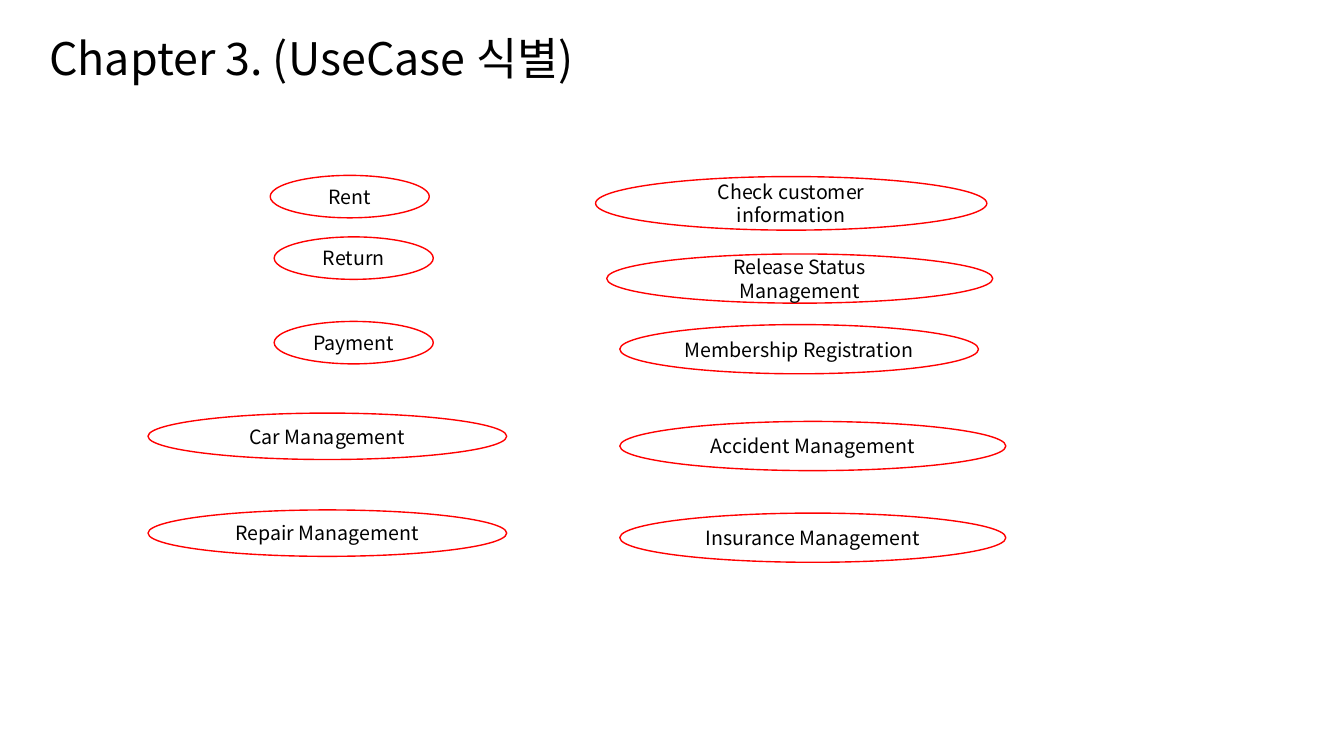
from lxml import etree
from pptx import Presentation
from pptx import util as u
from pptx.dml.color import RGBColor
from pptx.enum import shapes, text
from pptx.oxml import ns

BLACK = RGBColor(0x00, 0x00, 0x00)
RED = RGBColor(0xFF, 0x00, 0x00)

SMALL = (4.01, 1.07)
MEDIUM = (9.04, 1.17)
LARGE = (9.73, 1.24)

USE_CASES = [
    ("Rent", 6.81, 4.42, SMALL),
    ("Return", 6.91, 5.97, SMALL),
    ("Payment", 6.91, 8.1, SMALL),
    ("Car Management", 3.73, 10.41, MEDIUM),
    ("Repair Management", 3.73, 12.85, MEDIUM),
    ("Check customer information", 15.01, 4.45, (9.86, 1.35)),
    ("Release Status Management", 15.29, 6.4, LARGE),
    ("Membership Registration", 15.62, 8.18, (9.04, 1.24)),
    ("Accident Management", 15.62, 10.62, LARGE),
    ("Insurance Management", 15.62, 12.93, LARGE),
]


class UseCaseSlide:
    """Draws the title and use-case ellipses in one shared style."""

    font = "Noto Sans CJK KR"
    title_size = 32
    label_size = 14

    def __init__(self, slide):
        self.slide = slide

    def add_words(self, shape, words, size, alignment, line_spacing=1.0):
        frame = shape.text_frame
        frame.word_wrap = True
        frame.vertical_anchor = text.MSO_ANCHOR.MIDDLE
        paragraph = frame.paragraphs[0]
        paragraph.alignment = alignment
        paragraph.line_spacing = line_spacing
        run = paragraph.add_run()
        run.text = words
        run.font.size = u.Pt(size)
        run.font.name = self.font
        run.font.color.rgb = BLACK
        properties = run._r.get_or_add_rPr()
        etree.SubElement(properties, ns.qn("a:ea"), typeface=self.font)

    def title(self, words, left, top, width, height):
        box = self.slide.shapes.add_textbox(
            u.Cm(left), u.Cm(top), u.Cm(width), u.Cm(height))
        self.add_words(box, words, self.title_size, text.PP_ALIGN.LEFT, 0.9)

    def use_case(self, name, left, top, size):
        width, height = size
        ellipse = self.slide.shapes.add_shape(
            shapes.MSO_SHAPE.OVAL,
            u.Cm(left), u.Cm(top), u.Cm(width), u.Cm(height))
        ellipse.shadow.inherit = False
        ellipse.fill.background()
        ellipse.line.color.rgb = RED
        ellipse.line.width = u.Pt(1)
        self.add_words(ellipse, name, self.label_size, text.PP_ALIGN.CENTER)


def main():
    presentation = Presentation()
    presentation.slide_width = u.Cm(33.87)
    presentation.slide_height = u.Cm(19.05)
    slide = presentation.slides.add_slide(presentation.slide_layouts[6])
    page = UseCaseSlide(slide)
    page.title("Chapter 3. (UseCase 식별)", 0.99, 0.48, 29.21, 2.13)
    for use_case in USE_CASES:
        page.use_case(*use_case)
    presentation.save("out.pptx")


if __name__ == "__main__":
    main()
